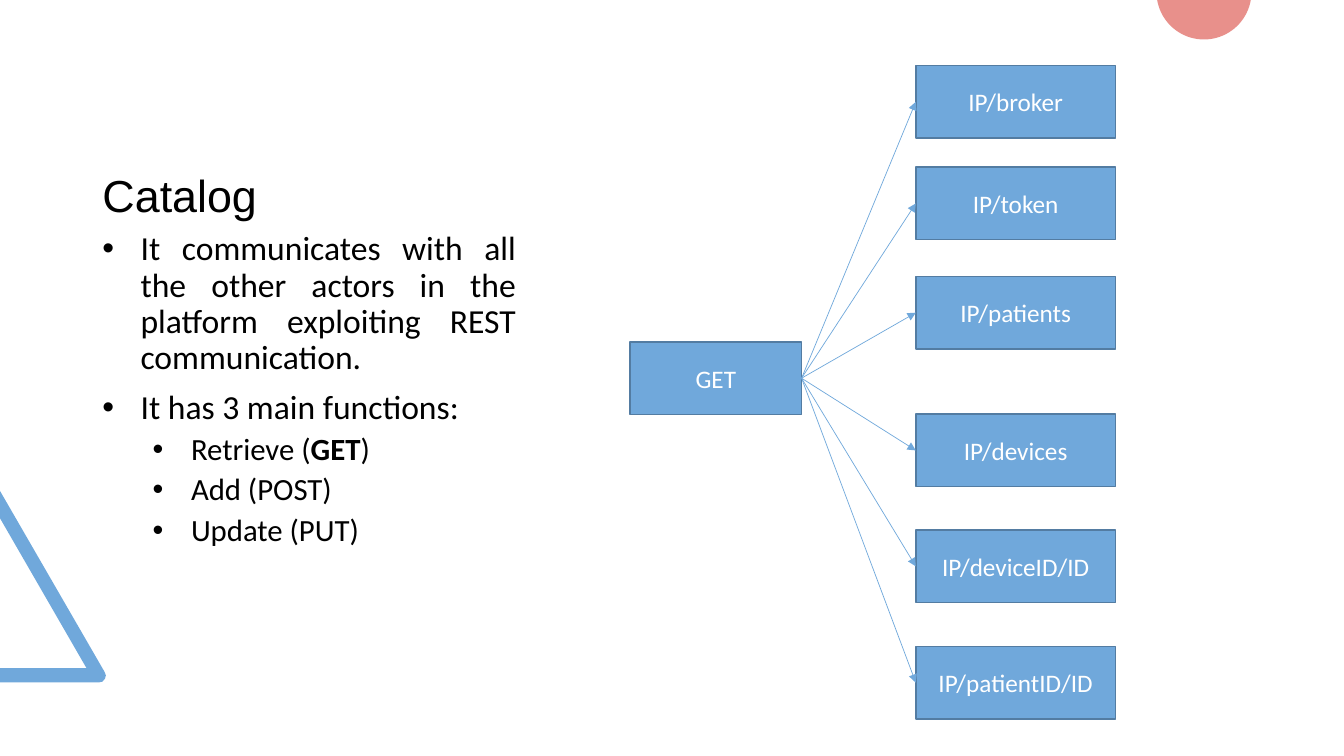
import math
from lxml import etree
from pptx import Presentation
from pptx import util as u
from pptx.dml.color import RGBColor
from pptx.enum import shapes, text
from pptx.oxml import ns

BLUE, EDGE, CORAL = "70A8DB", "537CA2", "E8908B"
BLACK, WHITE = "000000", "FFFFFF"
color = RGBColor.from_string

deck = Presentation()
deck.slide_width, deck.slide_height = u.Inches(13.33), u.Inches(7.5)
page = deck.slides.add_slide(deck.slide_layouts[5])
GRID = deck.slide_height / 90  # the page is 90 rows of square cells


def cells(*counts):
    """Turn counts of grid cells into lengths."""
    return [u.Emu(round(count * GRID)) for count in counts]


def write(para, words, size=18, font="Calibri", ink=BLACK, bold=False):
    span = para.add_run()
    span.text = words
    span.font.size, span.font.name, span.font.bold = u.Pt(size), font, bold
    span.font.color.rgb = color(ink)


# Corner decorations
triangle = [(0, 81.25), (0, 79.55), (10.3, 79.55), (0, 61.7), (0, 58.45),
            (12.45, 80), (12.6, 80.4), (12.5, 80.8), (12.2, 81.15), (11.75, 81.25)]
center_x, center_y, radius = 143.3, -0.95, 5.65
start = math.asin(-center_y / radius)
angles = [start + (math.pi - 2 * start) * step / 40 for step in range(41)]
disc = [(center_x + radius * math.cos(a), center_y + radius * math.sin(a)) for a in angles]
for outline, fill in ((triangle, BLUE), (disc, CORAL)):
    points = [cells(*point) for point in outline]
    builder = page.shapes.build_freeform(*points[0])
    builder.add_line_segments(points[1:], close=True)
    decoration = builder.convert_to_shape()
    decoration.shadow.inherit = False
    decoration.fill.solid()
    decoration.fill.fore_color.rgb = color(fill)
    decoration.line.fill.background()

# Title and bullets
TEXT_LEFT, TEXT_WIDTH = 11, 51.6
title = page.shapes.title
title.left, title.top, title.width, title.height = cells(TEXT_LEFT, 6, TEXT_WIDTH, 21)
title.text_frame.auto_size = text.MSO_AUTO_SIZE.NONE
title.text_frame.vertical_anchor = text.MSO_ANCHOR.BOTTOM
heading = title.text_frame.paragraphs[0]
heading.alignment, heading.line_spacing = text.PP_ALIGN.LEFT, 0.9
write(heading, "Catalog", size=32, font="Arial")

body = page.shapes.add_textbox(*cells(TEXT_LEFT, 27, TEXT_WIDTH, 50)).text_frame
body.word_wrap = True
bullets = [
    (0, ["It communicates with all the other actors in the platform "
         "exploiting REST communication."]),
    (0, ["It has 3 main functions:"]),
    (1, ["Retrieve (", "GET", ")"]),
    (1, ["Add (POST)"]),
    (1, ["Update (PUT)"]),
]
for index, (level, pieces) in enumerate(bullets):
    para = body.add_paragraph() if index else body.paragraphs[0]
    props = para._p.get_or_add_pPr()
    props.set("marL", str(u.Inches(0.38 + 0.5 * level)))
    props.set("indent", str(u.Inches(-0.38)))
    etree.SubElement(props, ns.qn("a:buFont")).set("typeface", "Arial")
    etree.SubElement(props, ns.qn("a:buChar")).set("char", "•")
    para.level, para.alignment, para.line_spacing = level, text.PP_ALIGN.JUSTIFY, 0.9
    if index:
        para.space_before = u.Pt(5 if level else 10)
    for piece in pieces:
        write(para, piece, size=22 if level else 24, bold=piece == "GET")

# Request box, then one box for each address it can reach
BOX_HEIGHT, PATH_LEFT, PATH_WIDTH = 8.65, 109, 23.75
nodes = [("GET", 75, 40.7, 20.4)] + [
    (name, PATH_LEFT, top, PATH_WIDTH) for name, top in (
        ("IP/broker", 7.8), ("IP/token", 19.9), ("IP/patients", 32.9),
        ("IP/devices", 49.3), ("IP/deviceID/ID", 63.1), ("IP/patientID/ID", 76.95))]
boxes = []
for name, left, top, width in nodes:
    box = page.shapes.add_shape(shapes.MSO_SHAPE.RECTANGLE,
                                *cells(left, top, width, BOX_HEIGHT))
    box.shadow.inherit = False
    box.fill.solid()
    box.fill.fore_color.rgb = color(BLUE)
    box.line.color.rgb, box.line.width = color(EDGE), u.Pt(1)
    box.text_frame.vertical_anchor = text.MSO_ANCHOR.MIDDLE
    label = box.text_frame.paragraphs[0]
    label.alignment = text.PP_ALIGN.CENTER
    write(label, name, ink=WHITE)
    boxes.append(box)

RIGHT_SIDE, LEFT_SIDE = 3, 1
request, *targets = boxes
for target in targets:
    arrow = page.shapes.add_connector(shapes.MSO_CONNECTOR.STRAIGHT, 0, 0, 0, 0)
    arrow.begin_connect(request, RIGHT_SIDE)
    arrow.end_connect(target, LEFT_SIDE)
    arrow.line.color.rgb, arrow.line.width = color(BLUE), u.Pt(0.5)
    etree.SubElement(arrow.line._get_or_add_ln(), ns.qn("a:tailEnd")).set("type", "triangle")
    etree.SubElement(arrow._element.spPr, ns.qn("a:effectLst"))

deck.save("out.pptx")
